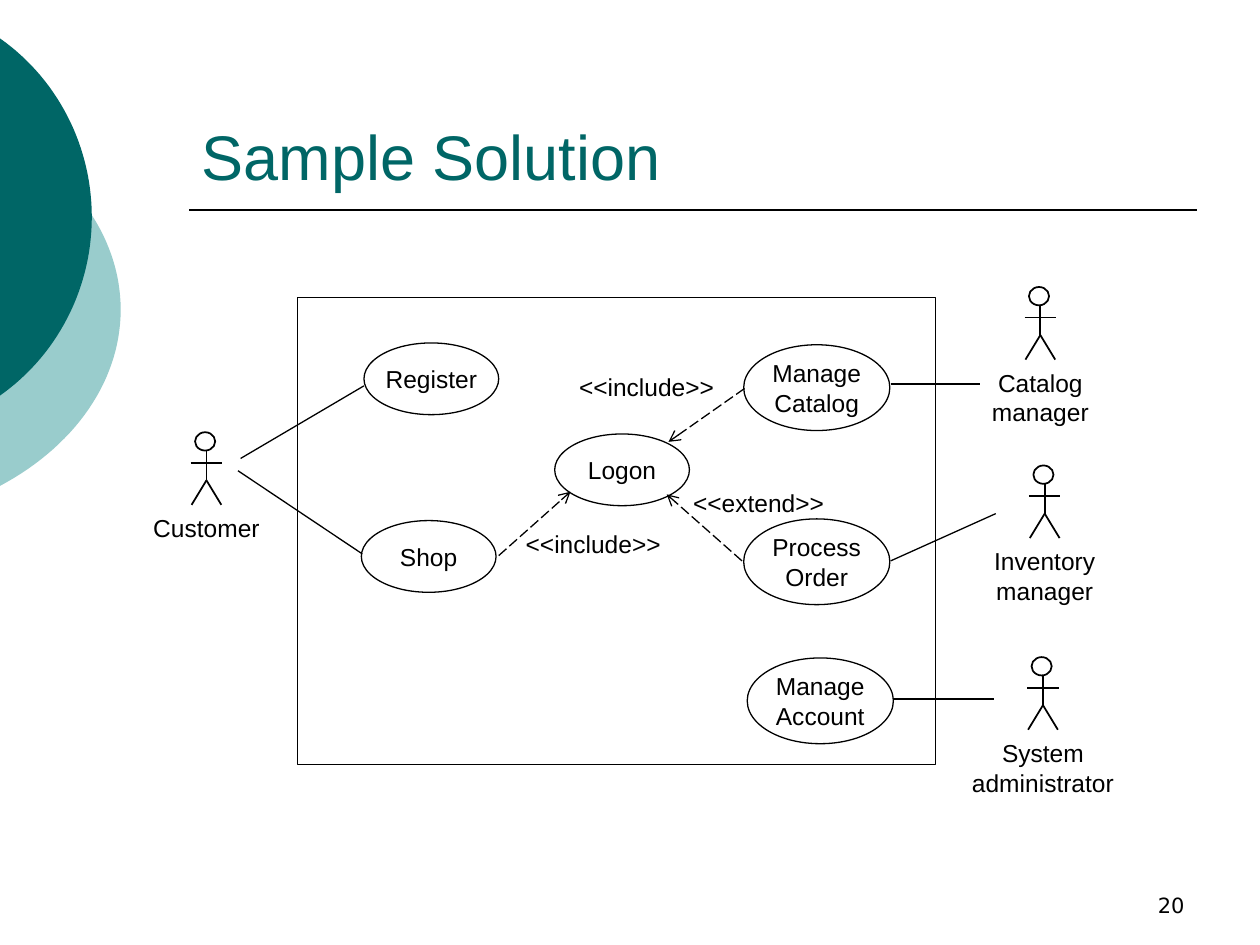
import math

from lxml import etree
from pptx import Presentation
from pptx.dml.color import RGBColor
from pptx.enum.dml import MSO_LINE
from pptx.enum.shapes import MSO_CONNECTOR, MSO_SHAPE
from pptx.enum.text import MSO_ANCHOR, MSO_AUTO_SIZE, PP_ALIGN
from pptx.oxml.ns import qn
from pptx.util import Pt

BLACK = RGBColor(0x00, 0x00, 0x00)
TEAL = RGBColor(0x00, 0x66, 0x66)
PALE_TEAL = RGBColor(0x99, 0xCC, 0xCC)

STRAIGHT = MSO_CONNECTOR.STRAIGHT
RECT, OVAL = MSO_SHAPE.RECTANGLE, MSO_SHAPE.OVAL
LONG_DASH = MSO_LINE.LONG_DASH
LEFT, CENTER, RIGHT = PP_ALIGN.LEFT, PP_ALIGN.CENTER, PP_ALIGN.RIGHT
TOP, MIDDLE, BOTTOM = MSO_ANCHOR.TOP, MSO_ANCHOR.MIDDLE, MSO_ANCHOR.BOTTOM
NO_AUTOFIT = MSO_AUTO_SIZE.NONE

THIN, MEDIUM = 0.75, 1

# centre x, centre y, radius x, radius y, colour
BACKGROUND_DISCS = [
    (-93, 177, 162, 123, PALE_TEAL),
    (-69, 124, 121.5, 124, TEAL),
]
# left, top, width, height, name
USE_CASES = [
    (208, 196, 77, 41, "Register"),
    (206.5, 297.5, 77, 41, "Shop"),
    (317, 248, 77, 41, "Logon"),
    (425, 197, 83.5, 49, "Manage\nCatalog"),
    (425, 296.5, 83.5, 49, "Process\nOrder"),
    (427, 376, 83.5, 49, "Manage\nAccount"),
]
# body x, head top, name
ACTORS = [
    (118, 247, "Customer"),
    (594.5, 164, "Catalog\nmanager"),
    (597, 266, "Inventory\nmanager"),
    (596, 375.5, "System\nadministrator"),
]
ASSOCIATIONS = [
    (137.5, 262, 208, 220.5),
    (136, 269, 207, 316.5),
    (509, 219.5, 560, 219.5),
    (509, 320.5, 569, 293.5),
    (510.5, 399.5, 568, 399.5),
]
DEPENDENCIES = [
    (285, 317.5, 326, 281),
    (425.5, 222, 382, 252.5),
    (424, 320.5, 381, 282.5),
]
# centre x, top, text
STEREOTYPES = [
    (369.5, 209, "<<include>>"),
    (339, 299, "<<include>>"),
    (433.5, 275.5, "<<extend>>"),
]


def write_text(s, text, size=14, font="Arial", color=BLACK, align=CENTER,
               anchor=TOP, wrap=False, margins=(7.2, 3.6)):
    tf = s.text_frame
    side, end = (Pt(m) for m in margins)
    frame_format = {
        "auto_size": NO_AUTOFIT, "word_wrap": wrap, "vertical_anchor": anchor,
        "margin_left": side, "margin_right": side,
        "margin_top": end, "margin_bottom": end,
    }
    for name, value in frame_format.items():
        setattr(tf, name, value)
    tf.text = text
    for p in tf.paragraphs:
        p.alignment = align
        for r in p.runs:
            r.font.name, r.font.size = font, Pt(size)
            r.font.color.rgb = color


def add_text(slide, x, y, w, h, text, **text_format):
    s = slide.shapes.add_textbox(Pt(x), Pt(y), Pt(w), Pt(h))
    write_text(s, text, **text_format)


def add_label(slide, center_x, y, text):
    width, height = 104, 24.5 + 16.5 * text.count("\n")
    add_text(slide, center_x - width / 2, y, width, height, text)


def add_outline(slide, kind, x, y, w, h, line_width):
    s = slide.shapes.add_shape(kind, Pt(x), Pt(y), Pt(w), Pt(h))
    s.shadow.inherit = False
    s.fill.background()
    s.line.color.rgb = BLACK
    s.line.width = Pt(line_width)
    return s


def add_line(slide, x1, y1, x2, y2, width=THIN):
    s = slide.shapes.add_connector(STRAIGHT, Pt(x1), Pt(y1), Pt(x2), Pt(y2))
    s.line.color.rgb = BLACK
    s.line.width = Pt(width)
    etree.SubElement(s._element.spPr, qn("a:effectLst"))
    return s


def add_dependency(slide, *ends):
    """Dashed line with an open arrowhead at its end."""
    s = add_line(slide, *ends)
    s.line.dash_style = LONG_DASH
    etree.SubElement(s.line._get_or_add_ln(), qn("a:tailEnd"), type="arrow")


def add_disc(slide, cx, cy, rx, ry, color, steps=60):
    """The part of an ellipse that lies right of the slide's left edge."""
    limit = math.acos(-cx / rx)
    angles = [limit * (2 * i / steps - 1) for i in range(steps + 1)]
    points = [(Pt(cx + rx * math.cos(a)), Pt(cy + ry * math.sin(a)))
              for a in angles]
    builder = slide.shapes.build_freeform(*points[0])
    builder.add_line_segments(points[1:], close=True)
    s = builder.convert_to_shape()
    s.shadow.inherit = False
    s.fill.solid()
    s.fill.fore_color.rgb = color
    s.line.fill.background()


def add_use_case(slide, x, y, w, h, name):
    s = add_outline(slide, OVAL, x, y, w, h, THIN)
    write_text(s, name, anchor=MIDDLE, margins=(0, 0))


def add_actor(slide, x, y, name):
    """Stick figure with its name below."""
    neck, arms, hip, feet = y + 10.5, y + 17.5, y + 27.5, y + 41.5
    add_outline(slide, OVAL, x - 6.5, y, 11.5, 10.5, MEDIUM)
    limbs = [
        (x, neck, x, hip),
        (x - 9, arms, x + 9, arms),
        (x, hip, x - 8.5, feet),
        (x, hip, x + 8.5, feet),
    ]
    for limb in limbs:
        add_line(slide, *limb, width=MEDIUM)
    add_label(slide, x, y + 42.75, name)


def add_title(slide, text):
    s = slide.shapes.title
    s.left, s.top, s.width, s.height = Pt(108), Pt(24), Pt(576), Pt(90)
    write_text(s, text, size=36, color=TEAL, align=LEFT, anchor=BOTTOM,
               wrap=True)


def main():
    prs = Presentation()
    prs.slide_width, prs.slide_height = Pt(720), Pt(540)
    slide = prs.slides.add_slide(prs.slide_layouts[5])

    for disc in BACKGROUND_DISCS:
        add_disc(slide, *disc)
    add_line(slide, 108, 120, 684, 120, width=MEDIUM)
    add_title(slide, "Sample Solution")
    add_text(slide, 516, 492, 168, 36, "20", size=12, font="DejaVu Sans",
             align=RIGHT, anchor=BOTTOM, wrap=True)

    add_outline(slide, RECT, 170, 170, 364.5, 267, THIN)
    for use_case in USE_CASES:
        add_use_case(slide, *use_case)
    for actor in ACTORS:
        add_actor(slide, *actor)
    for association in ASSOCIATIONS:
        add_line(slide, *association)
    for dependency in DEPENDENCIES:
        add_dependency(slide, *dependency)
    for stereotype in STEREOTYPES:
        add_label(slide, *stereotype)

    prs.save("out.pptx")


if __name__ == "__main__":
    main()
